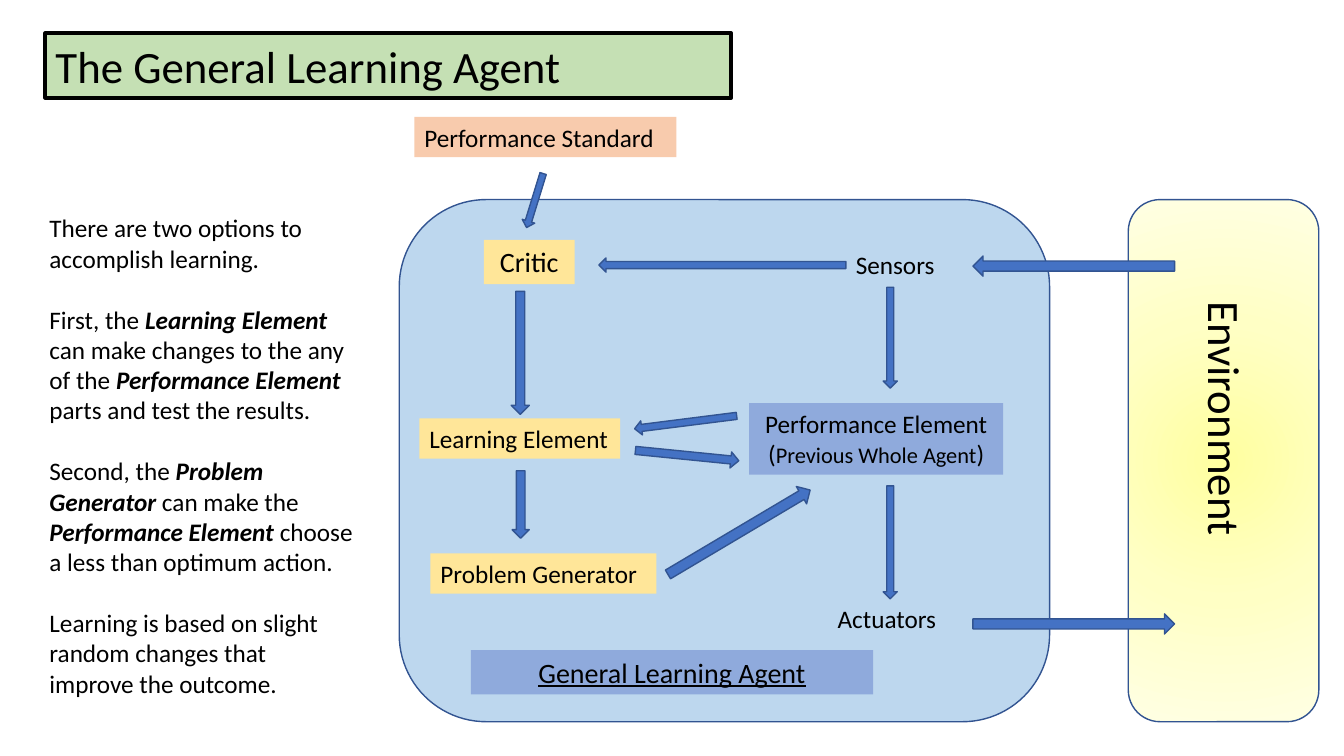
from dataclasses import dataclass
from typing import Optional

from pptx import Presentation
from pptx.dml.color import RGBColor
from pptx.enum.shapes import MSO_SHAPE as Preset
from pptx.enum.text import MSO_ANCHOR as Anchor, MSO_AUTO_SIZE as AutoSize, PP_ALIGN as Align
from pptx.oxml import parse_xml
from pptx.oxml.ns import nsdecls, qn
from pptx.util import Pt

EMU_PER_PX = 9144
FONT = "Calibri"
BLACK = RGBColor(0x00, 0x00, 0x00)
ARROW_BLUE = RGBColor(0x44, 0x72, 0xC4)
OUTLINE_BLUE = RGBColor(0x32, 0x54, 0x91)
AGENT_BLUE = RGBColor(0xBD, 0xD7, 0xEE)
LABEL_BLUE = RGBColor(0x8F, 0xAA, 0xDC)
LABEL_YELLOW = RGBColor(0xFF, 0xE6, 0x99)
LABEL_ORANGE = RGBColor(0xF8, 0xCB, 0xAD)
TITLE_GREEN = RGBColor(0xC5, 0xE0, 0xB4)
GLOW_STOPS = (
    (0, RGBColor(0xFF, 0xFF, 0xA0)),
    (50, RGBColor(0xFF, 0xFF, 0xC5)),
    (100, RGBColor(0xFF, 0xFF, 0xE3)),
)


@dataclass(frozen=True)
class Box:
    left: int
    top: int
    width: int
    height: int

    def emu(self) -> tuple[int, ...]:
        return tuple(value * EMU_PER_PX for value in (self.left, self.top, self.width, self.height))


@dataclass(frozen=True)
class Run:
    text: str
    strong: bool = False
    size: Optional[int] = None


@dataclass(frozen=True)
class Label:
    box: Box
    paragraphs: tuple[tuple[Run, ...], ...]
    fill: Optional[RGBColor] = None
    size: int = 18
    align: Align = Align.LEFT
    underline: bool = False
    rotation: int = 0


@dataclass(frozen=True)
class Arrow:
    preset: Preset
    box: Box
    rotation: float = 0


def line(text: str) -> tuple[tuple[Run, ...], ...]:
    return ((Run(text),),)


LABELS = (
    Label(Box(467, 645, 399, 44), line("General Learning Agent"), LABEL_BLUE, 20, Align.CENTER, True),
    Label(Box(839, 242, 107, 49), line("Sensors")),
    Label(Box(821, 594, 147, 49), line("Actuators")),
    Label(Box(1046, 423, 335, 68), line("Environment"), size=32, rotation=90),
    Label(Box(411, 116, 260, 40), line("Performance Standard"), LABEL_ORANGE),
    Label(
        Box(743, 400, 252, 71),
        ((Run("Performance Element"),), (Run("("), Run("Previous Whole Agent", size=16), Run(")"))),
        LABEL_BLUE,
        align=Align.CENTER,
    ),
    Label(Box(480, 238, 90, 44), line("Critic"), LABEL_YELLOW, 20, Align.CENTER),
    Label(Box(416, 415, 199, 40), line("Learning Element"), LABEL_YELLOW),
    Label(Box(427, 549, 224, 40), line("Problem Generator"), LABEL_YELLOW),
)

ARROWS = (
    Arrow(Preset.LEFT_ARROW, Box(965, 254, 200, 20)),
    Arrow(Preset.RIGHT_ARROW, Box(965, 609, 200, 20)),
    Arrow(Preset.DOWN_ARROW, Box(876, 285, 14, 100)),
    Arrow(Preset.DOWN_ARROW, Box(876, 482, 14, 112)),
    Arrow(Preset.DOWN_ARROW, Box(524, 171, 13, 56), 17.1),
    Arrow(Preset.DOWN_ARROW, Box(507, 289, 18, 122)),
    Arrow(Preset.DOWN_ARROW, Box(508, 467, 17, 67)),
    Arrow(Preset.LEFT_ARROW, Box(594, 256, 245, 14)),
    Arrow(Preset.LEFT_ARROW, Box(629, 412, 102, 14), 352.8),
    Arrow(Preset.RIGHT_ARROW, Box(630, 444, 103, 16), 5.7),
    Arrow(Preset.RIGHT_ARROW, Box(651, 518, 164, 20), 329.3),
)

EXPLANATION = (
    (Run("There are two options to accomplish learning."),),
    (
        Run("First, the "),
        Run("Learning Element", True),
        Run(" can make changes to the any of the "),
        Run("Performance Element", True),
        Run(" parts and test the results."),
    ),
    (
        Run("Second, the "),
        Run("Problem Generator", True),
        Run(" can make the "),
        Run("Performance Element", True),
        Run(" choose a less than optimum action."),
    ),
    (Run("Learning is based on slight random changes that improve the outcome."),),
)


def write_text(shape, paragraphs, *, size=18, align=Align.LEFT, underline=False, space_after=0) -> None:
    frame = shape.text_frame
    frame.word_wrap = True
    frame.auto_size = AutoSize.NONE
    frame.vertical_anchor = Anchor.TOP
    for index, runs in enumerate(paragraphs):
        paragraph = frame.add_paragraph() if index else frame.paragraphs[0]
        paragraph.alignment = align
        paragraph.line_spacing = 1.0
        paragraph.space_before = Pt(0)
        paragraph.space_after = Pt(space_after)
        for part in runs:
            run = paragraph.add_run()
            run.text = part.text
            font = run.font
            font.name = FONT
            font.size = Pt(part.size or size)
            font.color.rgb = BLACK
            font.bold = font.italic = part.strong
            font.underline = underline


def paint(shape, fill: RGBColor, outline: Optional[RGBColor] = None, width: int = 1) -> None:
    shape.fill.solid()
    shape.fill.fore_color.rgb = fill
    if outline is None:
        shape.line.fill.background()
    else:
        shape.line.color.rgb = outline
        shape.line.width = Pt(width)


def add_preset(slide, preset: Preset, box: Box, fill: RGBColor, outline: Optional[RGBColor] = None):
    shape = slide.shapes.add_shape(preset, *box.emu())
    shape.shadow.inherit = False
    paint(shape, fill, outline)
    return shape


def add_glow(shape) -> None:
    stops = "".join(
        f'<a:gs pos="{position * 1000}"><a:srgbClr val="{color}"/></a:gs>' for position, color in GLOW_STOPS
    )
    gradient = parse_xml(
        f'<a:gradFill {nsdecls("a")} rotWithShape="1"><a:gsLst>{stops}</a:gsLst><a:path path="circle">'
        '<a:fillToRect l="50000" t="50000" r="50000" b="50000"/></a:path></a:gradFill>'
    )
    properties = shape.element.spPr
    properties.replace(properties.find(qn("a:solidFill")), gradient)


def add_label(slide, label: Label) -> None:
    if label.fill is None:
        shape = slide.shapes.add_textbox(*label.box.emu())
    else:
        shape = add_preset(slide, Preset.RECTANGLE, label.box, label.fill)
    shape.rotation = label.rotation
    write_text(shape, label.paragraphs, size=label.size, align=label.align, underline=label.underline)


def place(shape, box: Box) -> None:
    shape.left, shape.top, shape.width, shape.height = box.emu()


def remove_bullets(shape) -> None:
    for paragraph in shape.text_frame.paragraphs:
        properties = paragraph._p.get_or_add_pPr()
        properties.set("marL", "0")
        properties.set("indent", "0")
        properties.append(parse_xml(f'<a:buNone {nsdecls("a")}/>'))


def main() -> None:
    presentation = Presentation()
    presentation.slide_width = 1333 * EMU_PER_PX
    presentation.slide_height = 750 * EMU_PER_PX
    slide = presentation.slides.add_slide(presentation.slide_layouts[1])

    title, body = slide.shapes.title, slide.placeholders[1]
    place(title, Box(45, 33, 680, 64))
    paint(title, TITLE_GREEN, BLACK, 3)
    write_text(title, line("The General Learning Agent"), size=32)
    place(body, Box(39, 206, 324, 495))
    write_text(body, EXPLANATION, space_after=22)
    remove_bullets(body)

    add_preset(slide, Preset.ROUNDED_RECTANGLE, Box(396, 198, 645, 518), AGENT_BLUE, OUTLINE_BLUE)
    environment = add_preset(
        slide, Preset.ROUNDED_RECTANGLE, Box(1119, 198, 189, 518), GLOW_STOPS[0][1], OUTLINE_BLUE
    )
    add_glow(environment)
    for label in LABELS:
        add_label(slide, label)
    for arrow in ARROWS:
        shape = add_preset(slide, arrow.preset, arrow.box, ARROW_BLUE, OUTLINE_BLUE)
        shape.rotation = arrow.rotation

    presentation.save("out.pptx")


if __name__ == "__main__":
    main()
